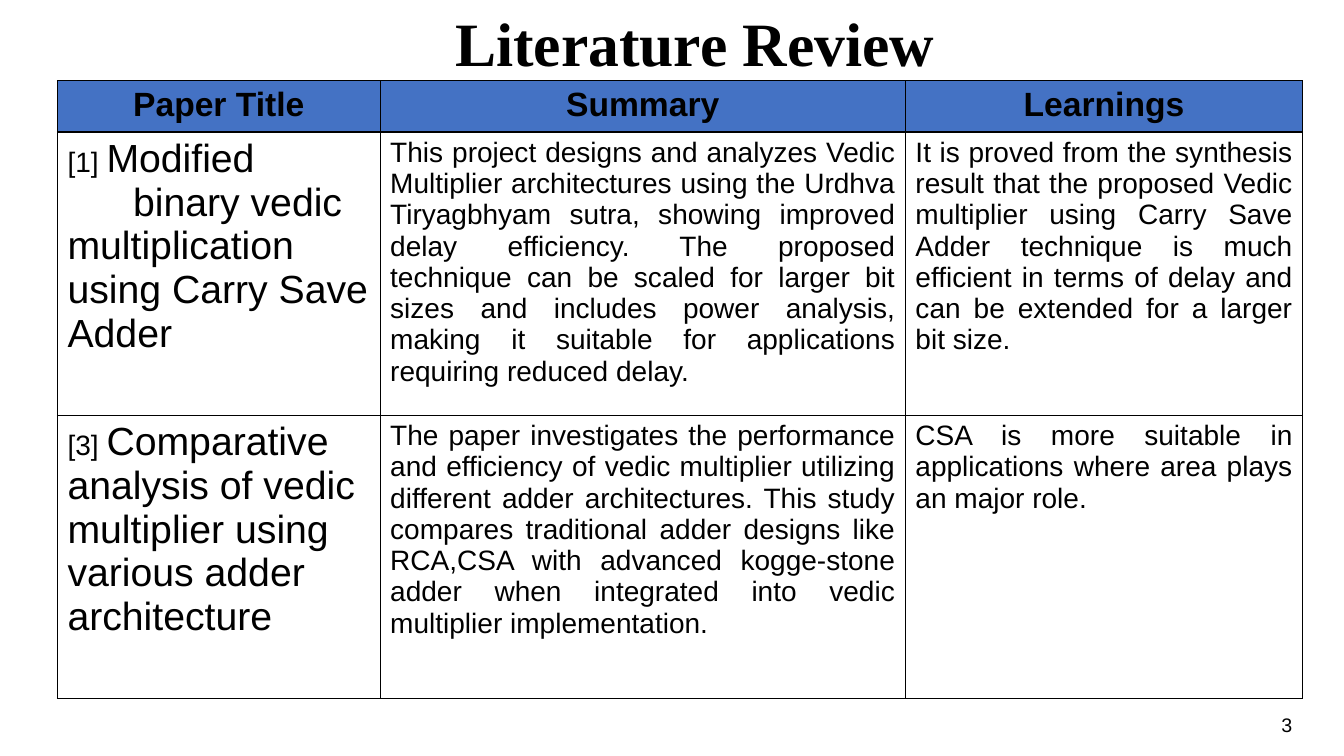
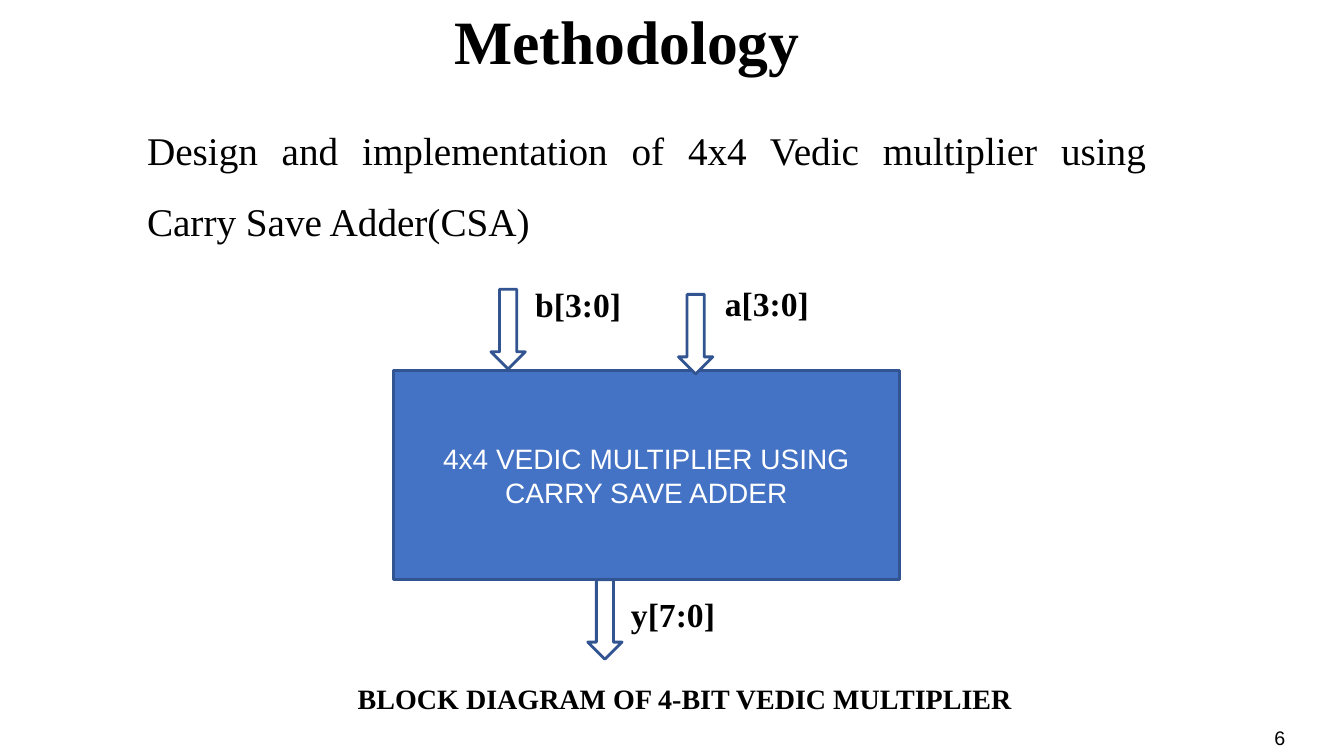
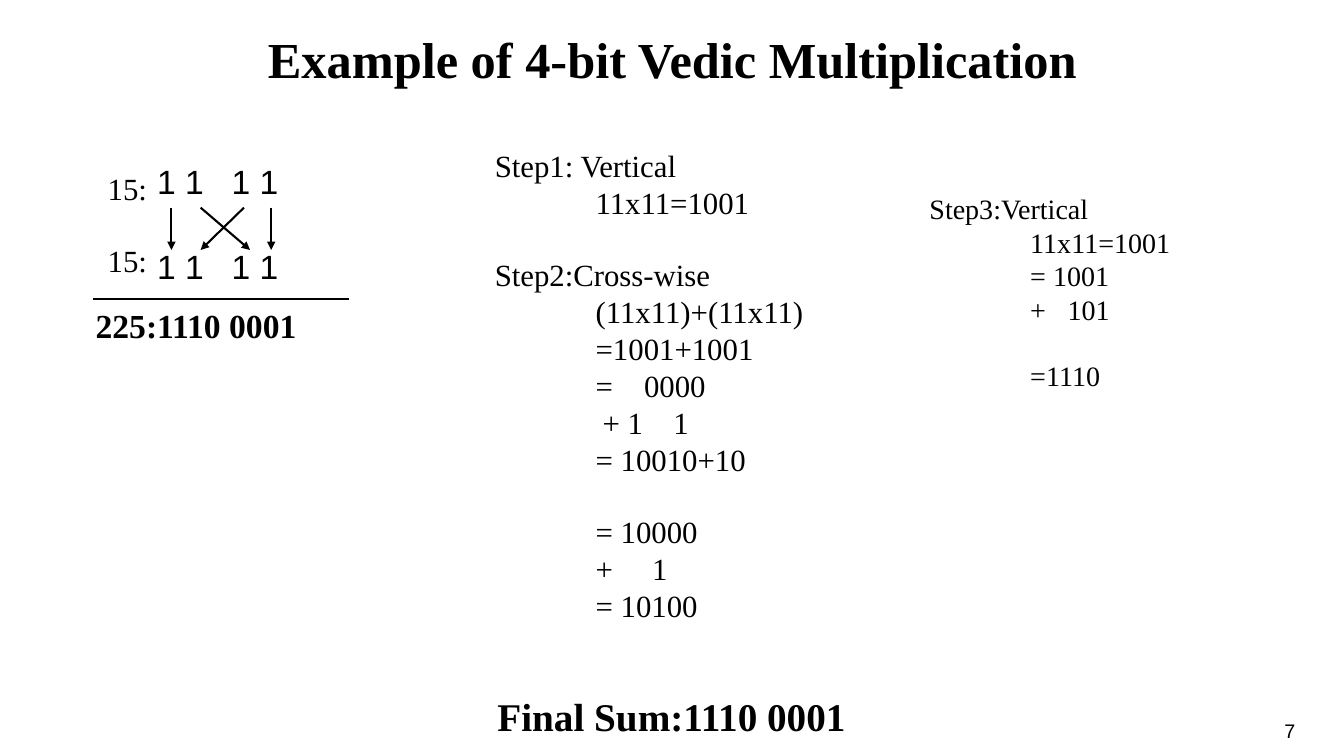
"""Build three slides on a 4-bit Vedic multiplier."""
from dataclasses import dataclass

from lxml import etree
from pptx import Presentation
from pptx.dml.color import RGBColor
from pptx.enum.shapes import MSO_CONNECTOR, MSO_SHAPE
from pptx.enum.text import MSO_ANCHOR, MSO_AUTO_SIZE, PP_ALIGN
from pptx.oxml.ns import qn
from pptx.util import Emu, Pt

LEFT, CENTER, JUSTIFY = PP_ALIGN.LEFT, PP_ALIGN.CENTER, PP_ALIGN.JUSTIFY
MIDDLE = MSO_ANCHOR.MIDDLE
NO_AUTOFIT = MSO_AUTO_SIZE.NONE
RECT, DOWN_ARROW = MSO_SHAPE.RECTANGLE, MSO_SHAPE.DOWN_ARROW
STRAIGHT = MSO_CONNECTOR.STRAIGHT
SCALE = 9144
TITLE_ONLY = 5
SERIF, SANS = "Times New Roman", "Arial"
BLACK, WHITE, BLUE, NAVY = "000000", "FFFFFF", "4472C4", "325491"


@dataclass(frozen=True)
class Box:
    """A place on the slide in px."""
    x: int
    y: int
    w: int
    h: int


@dataclass(frozen=True)
class Para:
    """A paragraph with an optional smaller lead, tab stops and a gap above."""
    text: str
    lead: str = ""
    tabs: tuple[int, ...] = ()
    before: int = 0


@dataclass(frozen=True)
class Signal:
    """A block arrow and its label."""
    name: str
    arrow: Box
    label: Box


@dataclass(frozen=True)
class Line:
    """A straight line between two points."""
    x1: int
    y1: int
    x2: int
    y2: int
    head: bool = True


COLUMNS = (320, 521, 394)
ROWS = (51, 281, 281)
HEADINGS = ("Paper Title", "Summary", "Learnings")
PAPERS = (
    (Para("Modified\v\tbinary vedic multiplication using Carry Save Adder",
          lead="[1] ", tabs=(65,)),
     "This project designs and analyzes Vedic Multiplier architectures using the Urdhva "
     "Tiryagbhyam sutra, showing improved delay efficiency. The proposed technique can be "
     "scaled for larger bit sizes and includes power analysis, making it suitable for "
     "applications requiring reduced delay.",
     "It is proved from the synthesis result that the proposed Vedic multiplier using Carry "
     "Save Adder technique is much efficient in terms of delay and can be extended for a "
     "larger bit size."),
    (Para("Comparative analysis of vedic multiplier using various adder architecture",
          lead="[3] "),
     "The paper investigates the performance and efficiency of vedic multiplier utilizing "
     "different adder architectures. This study compares traditional adder designs like "
     "RCA,CSA with advanced kogge-stone adder when integrated into vedic multiplier "
     "implementation.",
     "CSA is more suitable in applications where area plays an major role."),
)
SIGNALS = (
    Signal("a[3:0]", Box(673, 292, 34, 79), Box(709, 276, 146, 50)),
    Signal("y[7:0]", Box(583, 575, 34, 79), Box(616, 584, 146, 50)),
    Signal("b[3:0]", Box(487, 287, 34, 79), Box(521, 277, 135, 50)),
)
LINES = (
    Line(199, 206, 248, 248),
    Line(242, 206, 199, 248),
    Line(269, 206, 269, 248),
    Line(170, 206, 170, 248),
    Line(92, 297, 346, 297, head=False),
)
FIRST_STEPS = (
    "Step1: Vertical",
    Para("\t11x11=1001", tabs=(100,)),
    Para("Step2:Cross-wise", before=25),
    Para("\t(11x11)+(11x11)", tabs=(100,)),
    Para("\t=1001+1001", tabs=(100,)),
    Para("\t=\t0000", tabs=(100, 148)),
    Para("\t+ 1\t1", tabs=(107, 177)),
    Para("\t= 10010+10", tabs=(100,)),
    Para("\t= 10000", tabs=(100,), before=25),
    Para("\t+\t1", tabs=(100, 156)),
    Para("\t= 10100", tabs=(100,)),
)
LAST_STEP = (
    "Step3:Vertical",
    Para("\t11x11=1001", tabs=(100,)),
    Para("\t= 1001", tabs=(100,)),
    Para("\t+\t101", tabs=(100, 137)),
    Para("\t=1110", tabs=(100,), before=23),
)


def px(n: int) -> Emu:
    """Turn px into EMU."""
    return Emu(n * SCALE)


def rgb(value: str) -> RGBColor:
    """Turn a hex string into a colour."""
    return RGBColor.from_string(value)


def place(box: Box) -> tuple[Emu, Emu, Emu, Emu]:
    """Give the box in EMU."""
    return px(box.x), px(box.y), px(box.w), px(box.h)


def write(tf, *paras: str | Para, size: int, font: str = SERIF, bold: bool = False,
          color: str = BLACK, align=LEFT, spacing: float = 1.0, lead_size: int = 20) -> None:
    """Fill a text frame with formatted paragraphs."""
    for i, item in enumerate(paras):
        para = Para(item) if isinstance(item, str) else item
        p = tf.add_paragraph() if i else tf.paragraphs[0]
        p.alignment, p.line_spacing = align, spacing
        p.space_before = Pt(para.before)
        if para.tabs:
            tab_list = etree.SubElement(p._p.get_or_add_pPr(), qn("a:tabLst"))
            for stop in para.tabs:
                etree.SubElement(tab_list, qn("a:tab"), pos=str(px(stop)), algn="l")
        parts = [(para.lead, lead_size)] if para.lead else []
        for j, text in enumerate(para.text.split("\v")):
            parts += ([("\v", size)] if j else []) + [(text, size)]
        for text, points in parts:
            if text == "\v":
                p.add_line_break()
                continue
            r = p.add_run()
            r.text = text
            r.font.name, r.font.size, r.font.bold = font, Pt(points), bold
            r.font.color.rgb = rgb(color)


def add_text(s, box: Box, *paras: str | Para, wrap: bool = True, **style) -> None:
    """Add a text box."""
    tf = s.shapes.add_textbox(*place(box)).text_frame
    tf.word_wrap = wrap
    write(tf, *paras, **style)


def add_slide(prs, title: str, box: Box, number: str, number_box: Box, size: int = 44,
              spacing: float = 1.0):
    """Add a slide with its title and page number."""
    s = prs.slides.add_slide(prs.slide_layouts[TITLE_ONLY])
    sp = s.shapes.title
    sp.left, sp.top, sp.width, sp.height = place(box)
    tf = sp.text_frame
    tf.auto_size, tf.vertical_anchor, tf.word_wrap = NO_AUTOFIT, MIDDLE, True
    tf.margin_left = tf.margin_right = tf.margin_bottom = 0
    tf.margin_top = px(1)
    write(tf, title, size=size, bold=True, align=CENTER, spacing=spacing)
    add_text(s, number_box, number, wrap=False, size=14, font=SANS)
    return s


def add_block(s, kind, box: Box, fill: str):
    """Add an outlined shape."""
    sp = s.shapes.add_shape(kind, *place(box))
    sp.shadow.inherit = False
    sp.fill.solid()
    sp.fill.fore_color.rgb = rgb(fill)
    sp.line.color.rgb = rgb(NAVY)
    sp.line.width = Pt(2)
    return sp


def add_line(s, line: Line) -> None:
    """Add a straight line, with an arrowhead if wanted."""
    c = s.shapes.add_connector(STRAIGHT, px(line.x1), px(line.y1), px(line.x2), px(line.y2))
    c.line.color.rgb = rgb(BLACK)
    c.line.width = Pt(1.5)
    if line.head:
        etree.SubElement(c.line._get_or_add_ln(), qn("a:tailEnd"), type="triangle")
    etree.SubElement(c._element.spPr, qn("a:effectLst"))


def style_cell(cell, fill: str) -> None:
    """Give a cell black borders and a fill."""
    tc_pr = cell._tc.get_or_add_tcPr()
    for side in ("lnL", "lnR", "lnT", "lnB"):
        ln = etree.SubElement(tc_pr, qn(f"a:{side}"), w=str(Pt(1)))
        solid = etree.SubElement(ln, qn("a:solidFill"))
        etree.SubElement(solid, qn("a:srgbClr"), val=BLACK)
    cell.fill.solid()
    cell.fill.fore_color.rgb = rgb(fill)


def build_review(prs) -> None:
    """Build the literature table."""
    s = add_slide(prs, "Literature Review", Box(338, 3, 703, 77), "3", Box(1261, 702, 31, 34))
    box = Box(57, 80, sum(COLUMNS), sum(ROWS))
    table = s.shapes.add_table(len(ROWS), len(COLUMNS), *place(box)).table
    table.first_row = table.horz_banding = False
    for column, width in zip(table.columns, COLUMNS):
        column.width = px(width)
    for row, height in zip(table.rows, ROWS):
        row.height = px(height)
    for i, texts in enumerate((HEADINGS, *PAPERS)):
        for j, text in enumerate(texts):
            cell = table.cell(i, j)
            style_cell(cell, WHITE if i else BLUE)
            if i == 0:
                style = {"size": 24, "bold": True, "align": CENTER}
            elif j == 0:
                style = {"size": 28}
            else:
                style = {"size": 20, "align": JUSTIFY}
            write(cell.text_frame, text, font=SANS, **style)


def build_methodology(prs) -> None:
    """Build the block diagram."""
    s = add_slide(prs, "Methodology", Box(255, 1, 734, 77), "6", Box(1254, 715, 31, 34))
    add_text(s, Box(136, 97, 1011, 143),
             "Design and implementation of 4x4 Vedic multiplier using Carry Save Adder(CSA)",
             size=28, align=JUSTIFY, spacing=1.5)
    tf = add_block(s, RECT, Box(390, 368, 502, 207), BLUE).text_frame
    tf.word_wrap, tf.vertical_anchor = True, MIDDLE
    write(tf, "4x4 VEDIC MULTIPLIER USING CARRY SAVE ADDER", size=20, font=SANS,
          color=WHITE, align=CENTER)
    for signal in SIGNALS:
        add_block(s, DOWN_ARROW, signal.arrow, WHITE)
        add_text(s, signal.label, signal.name, size=24, bold=True)
    add_text(s, Box(345, 671, 704, 44), "BLOCK DIAGRAM OF 4-BIT VEDIC MULTIPLIER",
             size=20, bold=True)


def build_example(prs) -> None:
    """Build the worked multiplication."""
    s = add_slide(prs, "Example of 4-bit Vedic Multiplication", Box(92, -11, 1150, 145),
                  "7", Box(1264, 708, 31, 34), size=36, spacing=0.9)
    add_text(s, Box(146, 155, 661, 185), Para("1 1\t1 1", tabs=(74,)),
             Para("1 1\t1 1", tabs=(74,), before=32), size=24, font=SANS)
    for line in LINES:
        add_line(s, line)
    add_text(s, Box(481, 141, 490, 491), *FIRST_STEPS, size=22)
    add_text(s, Box(912, 185, 344, 212), *LAST_STEP, size=20)
    add_text(s, Box(361, 682, 610, 57), "Final Sum:1110 0001", size=28, bold=True, align=CENTER)
    add_text(s, Box(85, 298, 666, 50), "225:1110 0001", size=24, bold=True)
    add_text(s, Box(97, 163, 61, 121), "15:", Para("15:", before=25), size=22)


def main() -> None:
    """Build and save the presentation."""
    prs = Presentation()
    prs.slide_width, prs.slide_height = px(1333), px(750)
    build_review(prs)
    build_methodology(prs)
    build_example(prs)
    prs.save("out.pptx")


if __name__ == "__main__":
    main()
